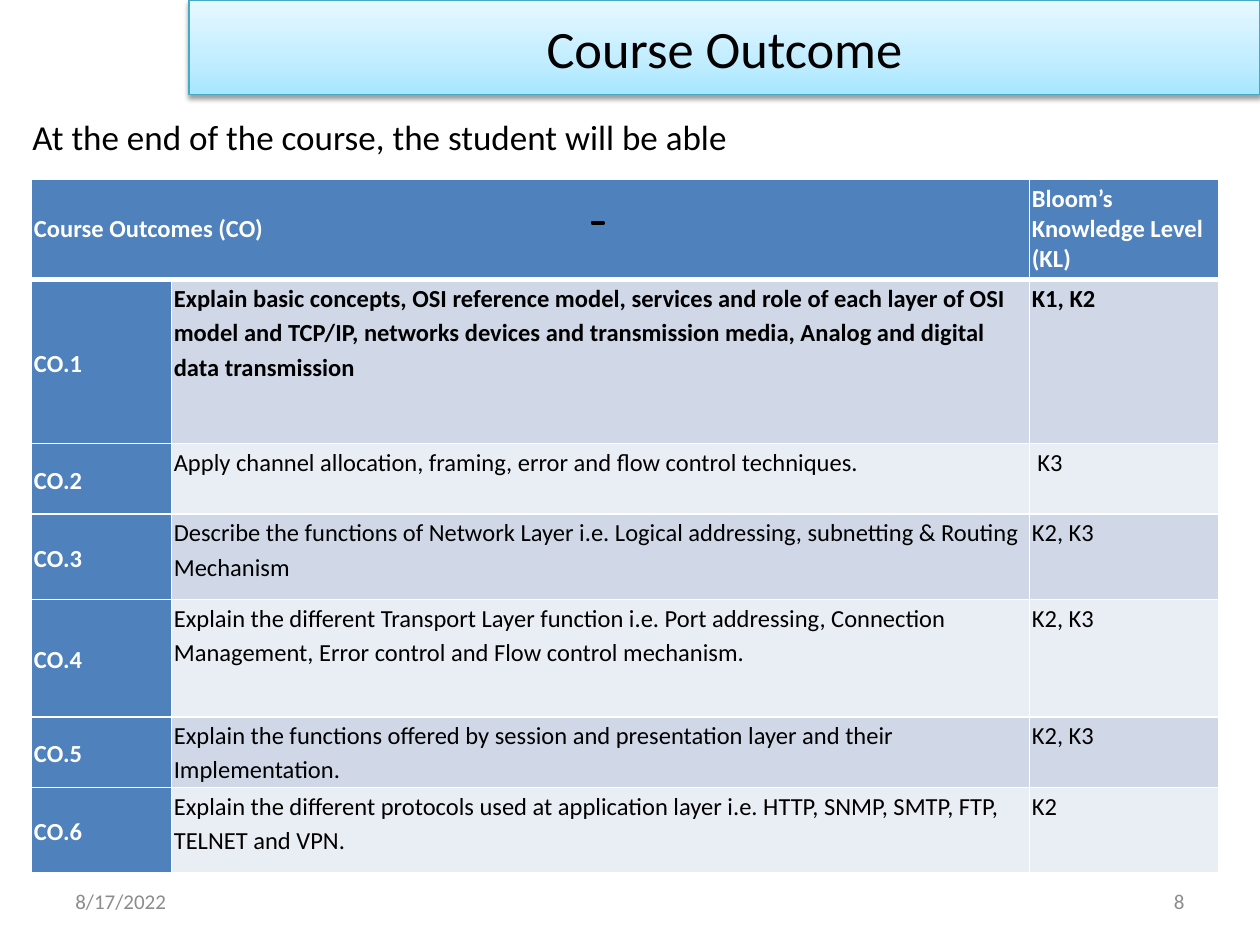
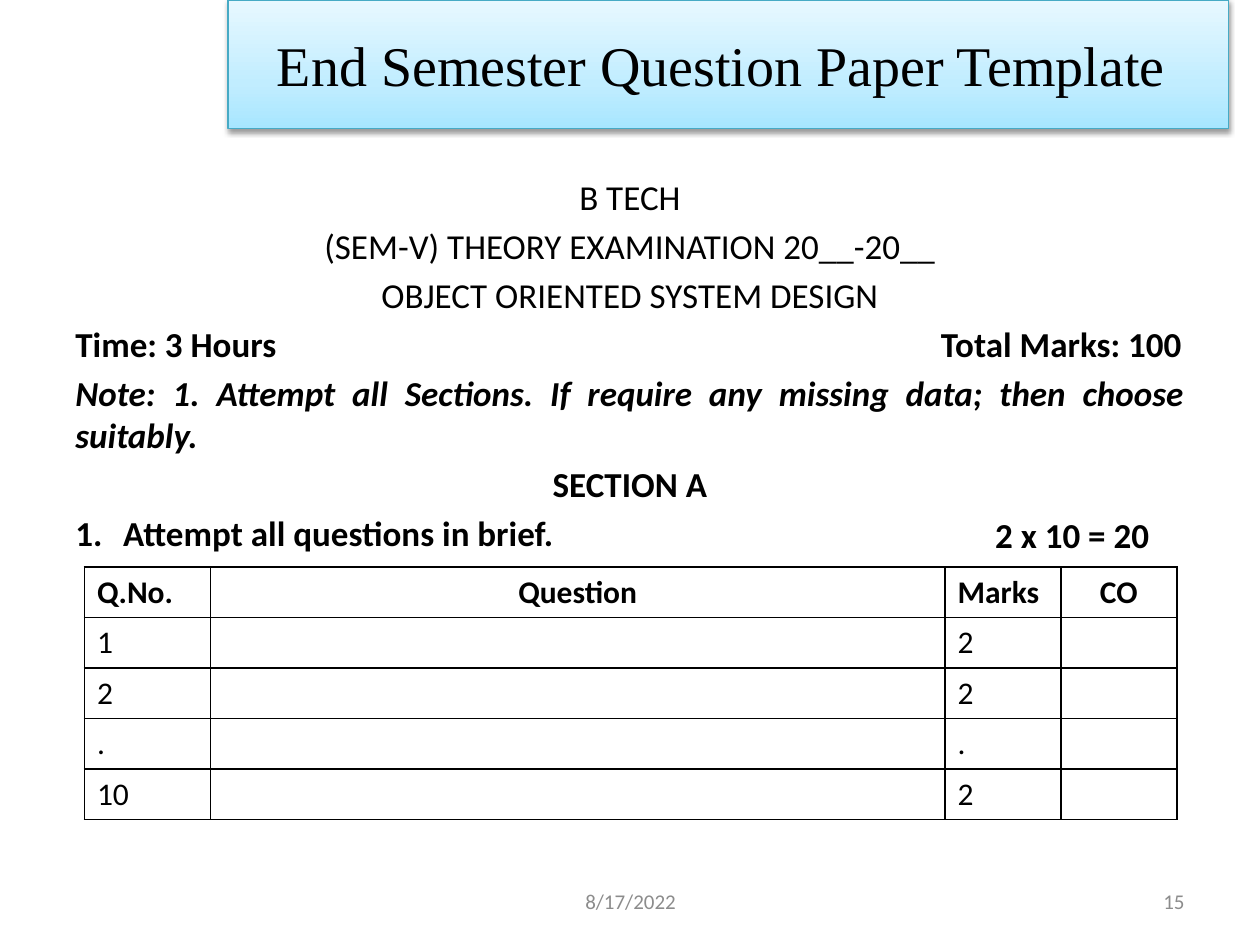
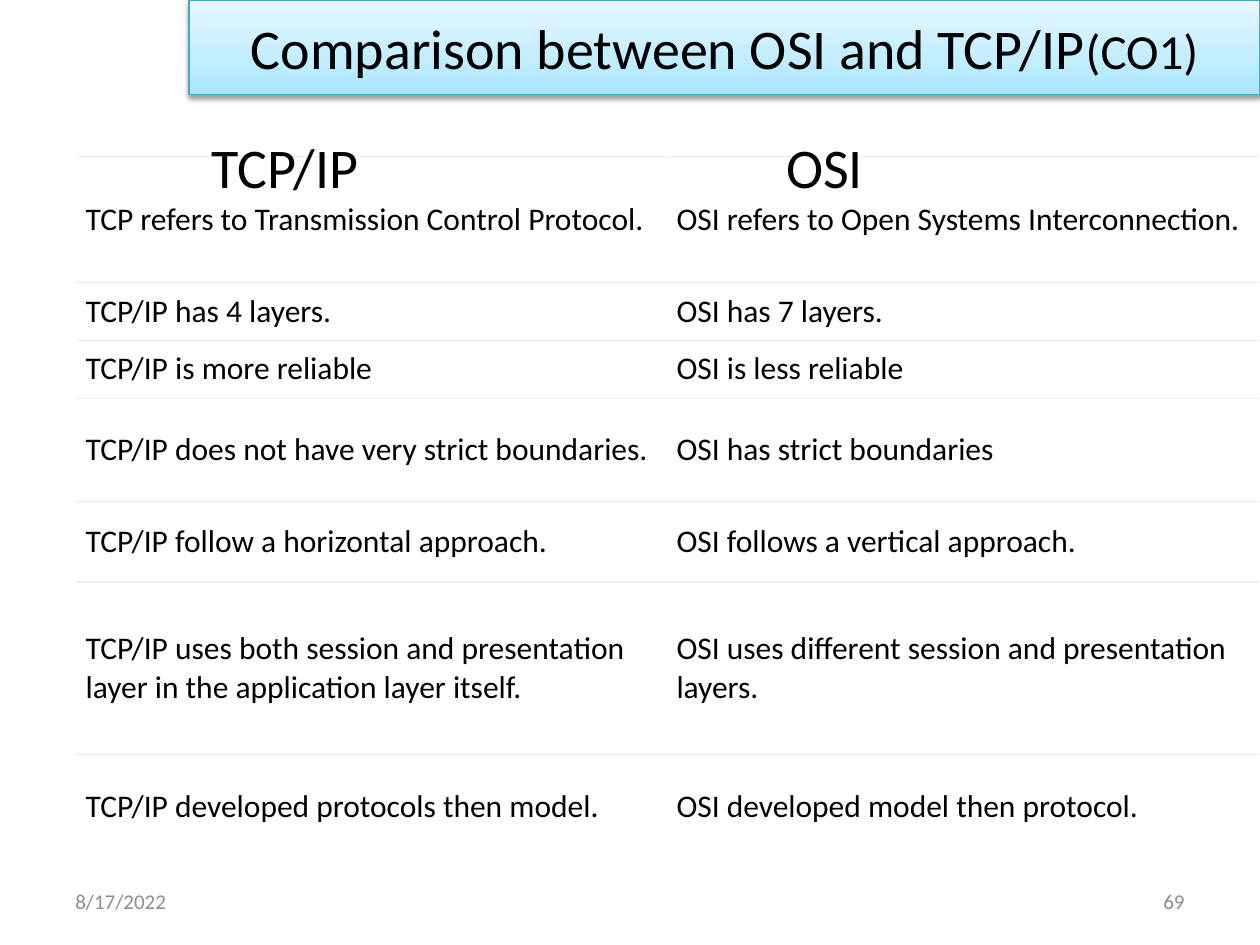
from dataclasses import dataclass

from lxml import etree
from pptx import Presentation
from pptx import util as u
from pptx.dml.color import RGBColor
from pptx.enum import shapes, text
from pptx.oxml.ns import qn

LEFT, CENTER, RIGHT, JUSTIFY = (text.PP_ALIGN.LEFT, text.PP_ALIGN.CENTER,
                                text.PP_ALIGN.RIGHT, text.PP_ALIGN.JUSTIFY)
MIDDLE, TOP = text.MSO_ANCHOR.MIDDLE, text.MSO_ANCHOR.TOP


@dataclass(frozen=True)
class Theme:
    font: str = "Calibri"
    serif: str = "Times New Roman"
    black: str = "000000"
    white: str = "FFFFFF"
    footer: str = "8C8C8C"
    band_line: str = "46AAC5"
    band_stops: tuple = ((0, "A7E6FF"), (35, "C1EDFF"), (100, "E7F8FF"))
    header: str = "4F81BD"
    odd_row: str = "D0D8E8"
    even_row: str = "E9EDF4"
    rule: str = "EDEDED"
    title_size: int = 32
    body_size: int = 20
    table_size: int = 18
    outcome_size: int = 14
    footer_size: int = 12


THEME = Theme()
DATE = "8/17/2022"
WIDE_BAND = (1.5, 0, 8.5, 0.75)
DATE_LEFT = (0.5, 6.95, 2.33, 0.4)
DATE_CENTER = (3.42, 6.95, 3.17, 0.4)
NUMBER_BOX = (7.17, 6.95, 2.33, 0.4)

OUTCOMES = [
    ("Course Outcomes (CO)", "", "Bloom’s Knowledge Level (KL)"),
    ("CO.1", "Explain basic concepts, OSI reference model, services and role of each layer of OSI "
     "model and TCP/IP, networks devices and transmission media, Analog and digital data "
     "transmission", "K1, K2"),
    ("CO.2", "Apply channel allocation, framing, error and flow control techniques.", " K3"),
    ("CO.3", "Describe the functions of Network Layer i.e. Logical addressing, subnetting & "
     "Routing Mechanism", "K2, K3"),
    ("CO.4", "Explain the different Transport Layer function i.e. Port addressing, Connection "
     "Management, Error control and Flow control mechanism.", "K2, K3"),
    ("CO.5", "Explain the functions offered by session and presentation layer and their "
     "Implementation.", "K2, K3"),
    ("CO.6", "Explain the different protocols used at application layer i.e. HTTP, SNMP, SMTP, "
     "FTP, TELNET and VPN.", "K2"),
]
QUESTIONS = [
    ("Q.No.", "Question", "Marks", "CO"),
    ("1", "", "2", ""),
    ("2", "", "2", ""),
    (".", "", ".", ""),
    ("10", "", "2", ""),
]
COMPARISON = [
    ("TCP refers to Transmission Control Protocol.",
     "OSI refers to Open Systems Interconnection."),
    ("TCP/IP has 4 layers.", "OSI has 7 layers."),
    ("TCP/IP is more reliable", "OSI is less reliable"),
    ("TCP/IP does not have very strict boundaries.", "OSI has strict boundaries"),
    ("TCP/IP follow a horizontal approach.", "OSI follows a vertical approach."),
    ("TCP/IP uses both session and presentation layer in the application layer itself.",
     "OSI uses different session and presentation layers."),
    ("TCP/IP developed protocols then model.", "OSI developed model then protocol."),
]


def set_values(target, **values):
    for name, value in values.items():
        setattr(target, name, value)


def inches(box):
    return [u.Inches(length) for length in box]


def add_xml(parent, tag, **attributes):
    values = {name: str(value) for name, value in attributes.items()}
    return etree.SubElement(parent, qn(tag), values)


def style_font(font, size, color=THEME.black, name=THEME.font, **values):
    set_values(font, size=u.Pt(size), name=name, **values)
    font.color.rgb = RGBColor.from_string(color)


def add_title(slide, box, runs, name=THEME.font):
    """Turn the title placeholder into the shaded band; runs are (text, size)."""
    title = slide.shapes.title
    left, top, width, height = inches(box)
    set_values(title, left=left, top=top, width=width, height=height)

    title.fill.gradient()
    title.fill.gradient_angle = 90
    stops = title.element.spPr.find(".//" + qn("a:gsLst"))
    for stop in list(stops):
        stops.remove(stop)
    for position, color in THEME.band_stops:
        stop = add_xml(stops, "a:gs", pos=position * 1000)
        add_xml(stop, "a:srgbClr", val=color)

    title.line.color.rgb = RGBColor.from_string(THEME.band_line)
    title.line.width = u.Pt(0.75)
    title.shadow.inherit = False
    effects = title.element.spPr.find(qn("a:effectLst"))
    shadow = add_xml(effects, "a:outerShdw", blurRad=u.Pt(3.1), dist=u.Pt(1.6),
                     dir=90 * 60000, rotWithShape=0)
    add_xml(add_xml(shadow, "a:srgbClr", val=THEME.black), "a:alpha", val=38000)

    frame = title.text_frame
    set_values(frame, word_wrap=True, auto_size=text.MSO_AUTO_SIZE.NONE,
               vertical_anchor=MIDDLE)
    paragraph = frame.paragraphs[0]
    paragraph.alignment = CENTER
    for words, size in runs:
        run = paragraph.add_run()
        run.text = words
        style_font(run.font, size, name=name)


def add_text(slide, box, words, size, color=THEME.black, align=LEFT, anchor=TOP,
             wrap=True, **font):
    frame = slide.shapes.add_textbox(*inches(box)).text_frame
    set_values(frame, word_wrap=wrap, vertical_anchor=anchor)
    paragraph = frame.paragraphs[0]
    set_values(paragraph, text=words, alignment=align)
    style_font(paragraph.font, size, color, **font)
    return frame


def add_footer(slide, number, date_box=DATE_LEFT, date_align=LEFT):
    for box, words, align in ((date_box, DATE, date_align), (NUMBER_BOX, number, RIGHT)):
        add_text(slide, box, words, THEME.footer_size, THEME.footer, align, MIDDLE)


def set_borders(cell, borders):
    """Draw borders given as {side letter: (colour, points)}."""
    properties = cell._tc.get_or_add_tcPr()
    for side in "LRTB":
        if side in borders:
            color, points = borders[side]
            line = add_xml(properties, f"a:ln{side}", w=u.Pt(points))
            add_xml(add_xml(line, "a:solidFill"), "a:srgbClr", val=color)


def add_table(slide, corner, columns, heights, rows, cell_format):
    """cell_format(row, column) gives fill, borders, margins, cell, paragraph and font values."""
    box = (*corner, sum(columns), sum(heights))
    table = slide.shapes.add_table(len(rows), len(columns), *inches(box)).table
    for column, width in zip(table.columns, columns):
        column.width = u.Inches(width)
    for row, height in zip(table.rows, heights):
        row.height = u.Inches(height)
    for row_index, row in enumerate(rows):
        for column_index, words in enumerate(row):
            cell = table.cell(row_index, column_index)
            values = cell_format(row_index, column_index)
            set_borders(cell, values["borders"])
            cell.fill.solid()
            cell.fill.fore_color.rgb = RGBColor.from_string(values["fill"])
            across, down = inches(values.get("margins", (0.1, 0.05)))
            set_values(cell, margin_left=across, margin_right=across, margin_top=down,
                       margin_bottom=down, **values.get("cell", {}))
            paragraph = cell.text_frame.paragraphs[0]
            set_values(paragraph, text=words, **values.get("paragraph", {}))
            style_font(paragraph.font, **values["font"])
    return table


def outcome_format(row, column):
    heading = row == 0 or column == 0
    band = THEME.odd_row if row % 2 else THEME.even_row
    borders = dict.fromkeys("LRTB", (THEME.white, 1))
    if row < 2:
        borders["T" if row else "B"] = (THEME.white, 3)
    return {
        "fill": THEME.header if heading else band,
        "borders": borders,
        "margins": (0.02, 0),
        "cell": {"vertical_anchor": MIDDLE if heading else TOP},
        "paragraph": {"line_spacing": 1.15 if row else 1.0},
        "font": {"size": THEME.outcome_size,
                 "color": THEME.white if heading else THEME.black,
                 "bold": heading or row == 1},
    }


def question_format(row, column):
    return {
        "fill": THEME.white,
        "borders": dict.fromkeys("LRTB", (THEME.black, 1)),
        "paragraph": {"alignment": CENTER if row == 0 and column in (1, 3) else LEFT},
        "font": {"size": THEME.table_size, "bold": row == 0},
    }


def comparison_format(row, column):
    last = len(COMPARISON) - 1
    sides = "T" if row == last else "TB"
    return {
        "fill": THEME.white,
        "borders": dict.fromkeys(sides, (THEME.rule, 0.75)),
        "margins": (0.07, 0.03),
        "cell": {"vertical_anchor": MIDDLE},
        "font": {"size": THEME.table_size, "bold": False},
    }


def add_dash(slide, box):
    dash = slide.shapes.add_shape(shapes.MSO_SHAPE.RECTANGLE, *inches(box))
    dash.shadow.inherit = False
    dash.fill.background()
    dash.line.color.rgb = RGBColor.from_string(THEME.black)
    dash.line.width = u.Pt(1.42)


def add_numbering(paragraph, indent):
    properties = paragraph._p.get_or_add_pPr()
    properties.set("marL", str(u.Inches(indent)))
    properties.set("indent", str(-u.Inches(indent)))
    add_xml(properties, "a:buAutoNum", type="arabicPeriod")


def add_right_tab(paragraph, position):
    tabs = add_xml(paragraph._p.get_or_add_pPr(), "a:tabLst")
    add_xml(tabs, "a:tab", pos=u.Inches(position), algn="r")


def add_exam_heading(slide):
    bold = {"bold": True}
    lines = [
        ("(SEM-V) THEORY EXAMINATION 20__-20__", CENTER, {}),
        ("OBJECT ORIENTED SYSTEM DESIGN", CENTER, {}),
        ("Time: 3 Hours\tTotal Marks: 100", LEFT, bold),
        ("Note: 1. Attempt all Sections. If require any missing data; then choose suitably.",
         JUSTIFY, {"bold": True, "italic": True}),
        ("SECTION A", CENTER, bold),
        ("Attempt all questions in brief.", LEFT, bold),
    ]
    frame = add_text(slide, (0.5, 1.34, 9, 3.1), "B TECH", THEME.body_size, align=CENTER)
    for words, align, font in lines:
        paragraph = frame.add_paragraph()
        set_values(paragraph, text=words, alignment=align, space_before=u.Pt(4))
        if "\t" in words:
            add_right_tab(paragraph, 8.78)
        if words.startswith("Attempt"):
            add_numbering(paragraph, 0.38)
        style_font(paragraph.font, THEME.body_size, **font)
    add_text(slide, (7.22, 4.03, 2, 0.44), "2 x 10 = 20", THEME.body_size,
             align=RIGHT, bold=True)


def build_outcomes(slide):
    add_title(slide, WIDE_BAND, [("Course Outcome", 30)])
    add_text(slide, (0.16, 0.87, 5.77, 0.44),
             "At the end of the course, the student will be able", THEME.body_size, wrap=False)
    table = add_table(slide, (0.25, 1.42), (1.11, 6.81, 1.5),
                      (0.8, 1.3, 0.56, 0.68, 0.93, 0.56, 0.68), OUTCOMES, outcome_format)
    table.cell(0, 0).merge(table.cell(0, 1))
    add_dash(slide, (4.7, 1.76, 0.09, 0.02))
    add_footer(slide, "8")


def build_question_paper(slide):
    add_title(slide, (1.81, 0, 7.94, 1.02),
              [("End Semester Question Paper Template ", THEME.title_size)], THEME.serif)
    add_exam_heading(slide)
    add_table(slide, (0.67, 4.5), (1, 5.83, 0.92, 0.92), [0.4] * len(QUESTIONS),
              QUESTIONS, question_format)
    add_footer(slide, "15", DATE_CENTER, CENTER)


def build_comparison(slide):
    add_title(slide, WIDE_BAND,
              [("Comparison between OSI and TCP/IP", THEME.title_size), ("(CO1)", 28)])
    add_table(slide, (0.61, 1.24), (4.69, 4.69), (1, 0.46, 0.46, 0.82, 0.64, 1.37, 0.82),
              COMPARISON, comparison_format)
    for left, heading in ((1.58, "TCP/IP"), (6.14, "OSI")):
        add_text(slide, (left, 1, 3, 0.63), heading, THEME.title_size)
    add_footer(slide, "69")


def main():
    presentation = Presentation()
    set_values(presentation, slide_width=u.Inches(10), slide_height=u.Inches(7.5))
    title_only = presentation.slide_layouts[5]
    for build in (build_outcomes, build_question_paper, build_comparison):
        build(presentation.slides.add_slide(title_only))
    presentation.save("out.pptx")


if __name__ == "__main__":
    main()
